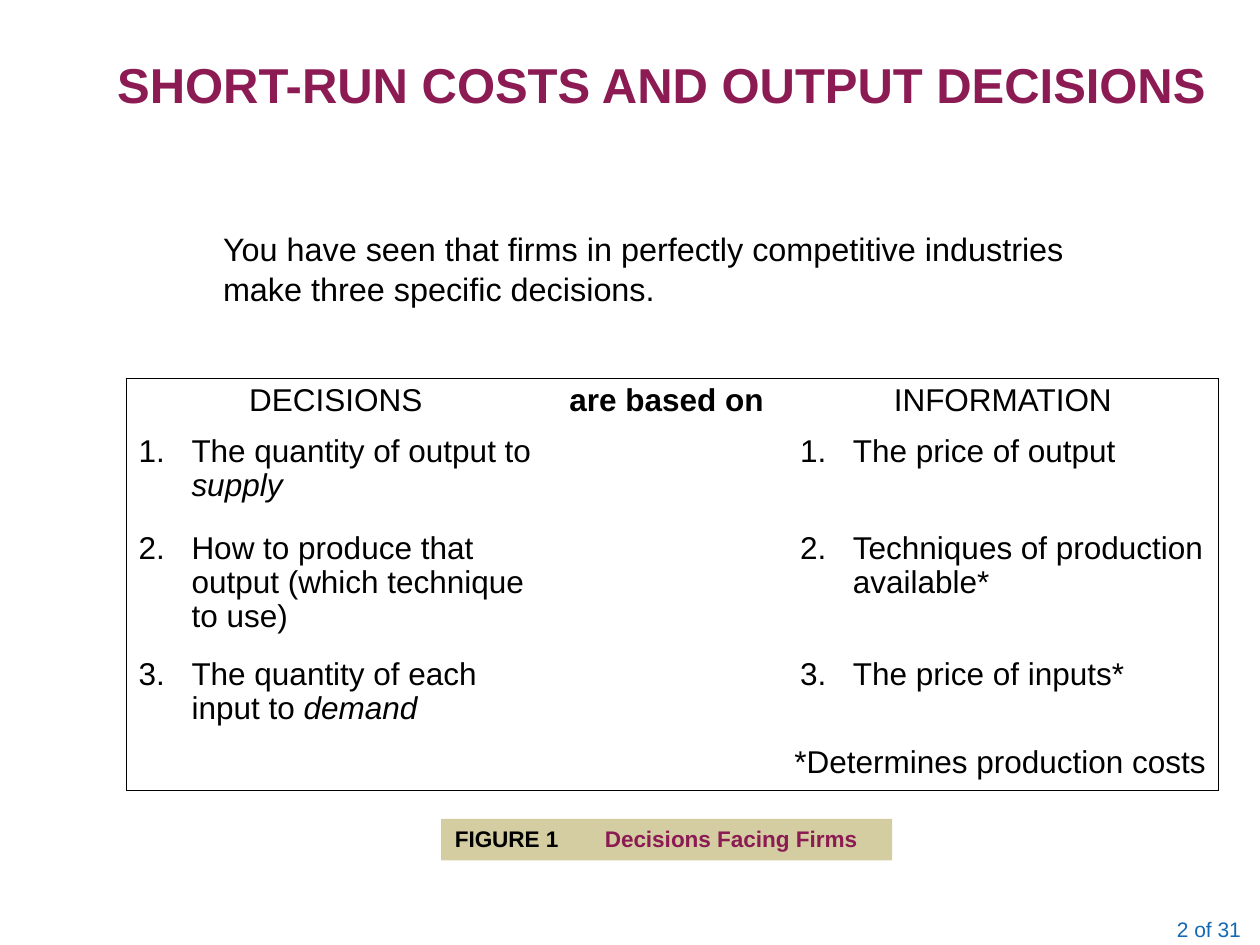
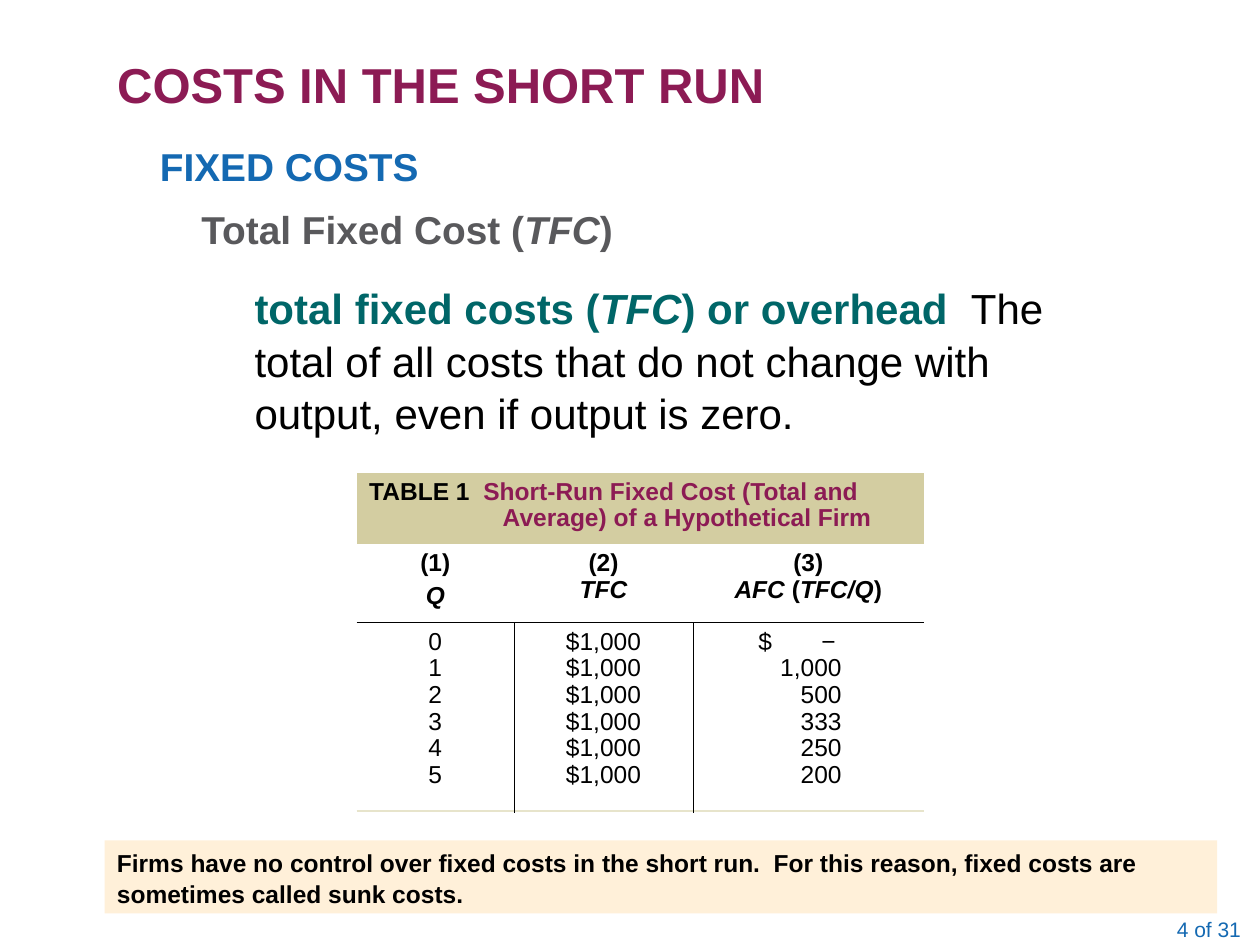
from dataclasses import dataclass

from lxml import etree
from pptx import Presentation
from pptx.dml.color import RGBColor
from pptx.enum.shapes import MSO_SHAPE
from pptx.enum.text import MSO_ANCHOR, MSO_AUTO_SIZE, PP_ALIGN
from pptx.oxml.ns import qn
from pptx.shapes.autoshape import Shape
from pptx.slide import Slide
from pptx.table import Table, _Cell
from pptx.text.text import TextFrame, _Paragraph
from pptx.util import Inches, Pt

LEFT, CENTER, RIGHT = PP_ALIGN.LEFT, PP_ALIGN.CENTER, PP_ALIGN.RIGHT
TOP, MIDDLE, BOTTOM = MSO_ANCHOR.TOP, MSO_ANCHOR.MIDDLE, MSO_ANCHOR.BOTTOM
NO_AUTOFIT = MSO_AUTO_SIZE.NONE
RECTANGLE = MSO_SHAPE.RECTANGLE

FONT = "Arial"
BLACK = "000000"
PLUM = "8C1B54"
BLUE = "1469B2"
GREY = "59595C"
TEAL = "006668"
KHAKI = "D3CDA1"
PALE_KHAKI = "E7E4CB"
CREAM = "FFF0D9"

PLAIN_TABLE = "{2D5ABB26-0587-4C30-8999-92F81FD0307C}"
HAIRLINE = 0.45
SLIDE_TOTAL = 31
BODY_SPACING = 1.05
CELL_SPACING = 0.97
INSETS = (0.1, 0.05, 0.1, 0.05)


@dataclass(frozen=True)
class Span:
    text: str
    color: str = BLACK
    bold: bool = False
    italic: bool = False


@dataclass(frozen=True)
class Para:
    spans: tuple[Span, ...]
    size: float
    align: PP_ALIGN = LEFT
    spacing: float = 1.0
    gap: float = 0
    hang: tuple[float, float] = (0, 0)
    number: int = 0
    right_tab: float = 0


@dataclass(frozen=True)
class Area:
    left: float
    top: float
    width: float
    height: float
    insets: tuple[float, float, float, float] = INSETS
    anchor: MSO_ANCHOR = TOP

    def place(self) -> tuple[int, int, int, int]:
        return (Inches(self.left), Inches(self.top),
                Inches(self.width), Inches(self.height))


@dataclass(frozen=True)
class Rule:
    side: str
    color: str = BLACK
    width: float = HAIRLINE


TITLE = Area(0.83, 0, 9.17, 1, (0.1, 0.05, 0.1, 0.1), BOTTOM)
PAGE_NUMBER = Area(9.17, 7.25, 0.83, 0.25, (0, 0.05, 0.15, 0.05), MIDDLE)


def rgb(value: str) -> RGBColor:
    return RGBColor.from_string(value)


def write_paragraph(paragraph: _Paragraph, para: Para) -> None:
    paragraph.alignment = para.align
    paragraph.line_spacing = para.spacing
    paragraph.space_before = paragraph.space_after = Pt(para.gap)
    properties = paragraph._p.get_or_add_pPr()
    margin, indent = para.hang
    properties.set("marL", str(Inches(margin)))
    properties.set("indent", str(Inches(indent)))
    if para.number:
        etree.SubElement(properties, qn("a:buAutoNum"), type="arabicPeriod",
                         startAt=str(para.number))
    else:
        etree.SubElement(properties, qn("a:buNone"))
    if para.right_tab:
        tabs = etree.SubElement(properties, qn("a:tabLst"))
        etree.SubElement(tabs, qn("a:tab"), pos=str(Inches(para.right_tab)), algn="r")
    for span in para.spans:
        run = paragraph.add_run()
        run.text = span.text
        run.font.name = FONT
        run.font.size = Pt(para.size)
        run.font.bold = span.bold
        run.font.italic = span.italic
        run.font.color.rgb = rgb(span.color)


def write(frame: TextFrame, paras: list[Para]) -> None:
    for index, para in enumerate(paras):
        target = frame.add_paragraph() if index else frame.paragraphs[0]
        write_paragraph(target, para)


def fill_area(shape: Shape, area: Area, para: Para) -> None:
    shape.left, shape.top, shape.width, shape.height = area.place()
    frame = shape.text_frame
    frame.word_wrap = True
    frame.auto_size = NO_AUTOFIT
    frame.vertical_anchor = area.anchor
    (frame.margin_left, frame.margin_top,
     frame.margin_right, frame.margin_bottom) = map(Inches, area.insets)
    write(frame, [para])


def add_text(slide: Slide, area: Area, para: Para) -> None:
    fill_area(slide.shapes.add_textbox(*area.place()), area, para)


def add_band(slide: Slide, area: Area, color: str, para: Para) -> None:
    band = slide.shapes.add_shape(RECTANGLE, *area.place())
    band.shadow.inherit = False
    band.fill.solid()
    band.fill.fore_color.rgb = rgb(color)
    band.line.fill.background()
    fill_area(band, area, para)


def add_page(deck: Presentation, title: str, number: int,
             body_area: Area, body: Para) -> Slide:
    slide = deck.slides.add_slide(deck.slide_layouts[1])
    fill_area(slide.shapes.title, TITLE, Para((Span(title, PLUM, bold=True),), 28))
    fill_area(slide.placeholders[1], body_area, body)
    add_text(slide, PAGE_NUMBER,
             Para((Span(f"{number} of {SLIDE_TOTAL}", BLUE),), 12, RIGHT))
    return slide


def add_grid(slide: Slide, left: float, top: float,
             widths: list[float], heights: list[float]) -> Table:
    area = Area(left, top, sum(widths), sum(heights))
    grid = slide.shapes.add_table(len(heights), len(widths), *area.place()).table
    grid.first_row = grid.horz_banding = False
    grid._tbl.tblPr.find(qn("a:tableStyleId")).text = PLAIN_TABLE
    for column, width in zip(grid.columns, widths):
        column.width = Inches(width)
    for row, height in zip(grid.rows, heights):
        row.height = Inches(height)
    return grid


def finish_cell(cell: _Cell, rules: list[Rule], fill: str = "") -> None:
    properties = cell._tc.get_or_add_tcPr()
    for rule in sorted(rules, key=lambda item: "LRTB".index(item.side)):
        line = etree.SubElement(properties, qn(f"a:ln{rule.side}"),
                                w=str(Pt(rule.width)))
        solid = etree.SubElement(line, qn("a:solidFill"))
        etree.SubElement(solid, qn("a:srgbClr"), val=rule.color)
    if fill:
        cell.fill.solid()
        cell.fill.fore_color.rgb = rgb(fill)
    else:
        cell.fill.background()


def numbered(number: int, *spans: Span) -> list[Para]:
    return [Para(spans, 18, spacing=CELL_SPACING, hang=(0.42, -0.42), number=number)]


def line(text: str, size: float, align: PP_ALIGN, **style: bool) -> list[Para]:
    return [Para((Span(text, **style),), size, align, CELL_SPACING)]


def add_decisions(slide: Slide) -> None:
    widths, heights = [3.33, 1, 0.92, 3.42], [0.4, 0.77, 1, 0.7, 0.4]
    grid = add_grid(slide, 1, 3, widths, heights)
    grid.cell(0, 1).merge(grid.cell(0, 2))
    grid.cell(4, 2).merge(grid.cell(4, 3))
    contents = {
        (0, 0): line("DECISIONS", 18, CENTER),
        (0, 1): line("are based on", 18, CENTER, bold=True),
        (0, 3): line("INFORMATION", 18, CENTER),
        (1, 0): numbered(1, Span("The quantity of output to "),
                         Span("supply", italic=True)),
        (1, 3): numbered(1, Span("The price of output")),
        (2, 0): numbered(2, Span("How to produce that output (which technique to use)")),
        (2, 3): numbered(2, Span("Techniques of production available*")),
        (3, 0): numbered(3, Span("The quantity of each input to "),
                         Span("demand", italic=True)),
        (3, 3): numbered(3, Span("The price of inputs*")),
        (4, 2): line("*Determines production costs", 18, RIGHT),
    }
    for place, paras in contents.items():
        write(grid.cell(*place).text_frame, paras)
    for row in range(len(heights)):
        for column in range(len(widths)):
            cell = grid.cell(row, column)
            outer = {"L": column == 0,
                     "R": column + cell.span_width == len(widths),
                     "T": row == 0,
                     "B": row == len(heights) - 1}
            finish_cell(cell, [Rule(side) for side, on in outer.items() if on])


def add_fixed_costs(slide: Slide) -> None:
    grid = add_grid(slide, 2.83, 3.75, [1.25, 1.42, 1.83], [0.57, 0.62, 1.5])
    caption = grid.cell(0, 0)
    caption.merge(grid.cell(0, 2))
    write(caption.text_frame, [Para(
        (Span("TABLE 1  ", bold=True),
         Span("Short-Run Fixed Cost (Total and Average) of a Hypothetical Firm",
              PLUM, bold=True)),
        14, spacing=CELL_SPACING, hang=(1.06, -1.06))])

    headings = [
        (1.8, [Span("Q", bold=True, italic=True)]),
        (0, [Span("TFC", bold=True, italic=True)]),
        (0, [Span("AFC ", bold=True, italic=True), Span("(", bold=True),
             Span("TFC/Q", bold=True, italic=True), Span(")", bold=True)]),
    ]
    for column, (gap, symbol) in enumerate(headings):
        ordinal = (Span(f"({column + 1})", bold=True),)
        write(grid.cell(1, column).text_frame,
              [Para(spans, 14, CENTER, CELL_SPACING, gap)
               for spans in (ordinal, tuple(symbol))])

    average_costs = ["1,000", "500", "333", "250", "200"]
    quantities = range(len(average_costs) + 1)
    no_average = Para((Span("$\t−"),), 14, spacing=CELL_SPACING, right_tab=0.65)
    columns = [
        [para for q in quantities for para in line(str(q), 14, CENTER)],
        [para for _ in quantities for para in line("$1,000", 14, CENTER)],
        [no_average] + [para for cost in average_costs
                        for para in line(cost, 14, RIGHT)],
    ]
    for column, paras in enumerate(columns):
        write(grid.cell(2, column).text_frame, paras)
    grid.cell(2, 2).margin_left = Inches(0.52)
    grid.cell(2, 2).margin_right = Inches(0.65)

    for column in range(3):
        finish_cell(grid.cell(0, column), [], KHAKI)
        finish_cell(grid.cell(1, column), [Rule("B")])
        rules = [Rule("T"), Rule("B", PALE_KHAKI, 1.47)]
        if column > 0:
            rules.append(Rule("L"))
        if column < 2:
            rules.append(Rule("R"))
        finish_cell(grid.cell(2, column), rules)


def build_decisions_page(deck: Presentation) -> None:
    intro = Para((Span("You have seen that firms in perfectly competitive industries "
                       "make three specific decisions."),), 18.5, spacing=BODY_SPACING)
    slide = add_page(deck, "SHORT-RUN COSTS AND OUTPUT DECISIONS", 2,
                     Area(1.67, 1.75, 7.42, 0.75), intro)
    add_decisions(slide)
    figure_caption = Para((Span("FIGURE 1\t", bold=True),
                           Span("Decisions Facing Firms", PLUM, bold=True)),
                          12.9, gap=1.8, hang=(1.25, -1.19))
    add_band(slide, Area(3.5, 6.5, 3.58, 0.33, (0.05,) * 4), KHAKI, figure_caption)


def build_fixed_costs_page(deck: Presentation) -> None:
    definition = Para((Span("total fixed costs (", TEAL, bold=True),
                       Span("TFC", TEAL, bold=True, italic=True),
                       Span(") or overhead  ", TEAL, bold=True),
                       Span("The total of all costs that do not change with output, "
                            "even if output is zero.")), 24, spacing=BODY_SPACING)
    slide = add_page(deck, "COSTS IN THE SHORT RUN", 4,
                     Area(1.92, 2.17, 6.58, 1.33), definition)
    add_text(slide, Area(1.17, 1.08, 8.08, 0.5),
             Para((Span("FIXED COSTS", BLUE, bold=True),), 22.2, gap=3))
    add_text(slide, Area(1.5, 1.58, 7.58, 0.5),
             Para((Span("Total Fixed Cost (", GREY, bold=True),
                   Span("TFC", GREY, bold=True, italic=True),
                   Span(")", GREY, bold=True)), 22.2, gap=3))
    add_fixed_costs(slide)
    sunk_costs = Para((Span("Firms have no control over fixed costs in the short run.  "
                            "For this reason, fixed costs are sometimes called "
                            "sunk costs.", bold=True),), 14, spacing=BODY_SPACING)
    add_band(slide, Area(0.83, 6.67, 8.83, 0.58), CREAM, sunk_costs)


def main() -> None:
    deck = Presentation()
    deck.slide_width, deck.slide_height = Inches(10), Inches(7.5)
    build_decisions_page(deck)
    build_fixed_costs_page(deck)
    deck.save("out.pptx")


if __name__ == "__main__":
    main()
